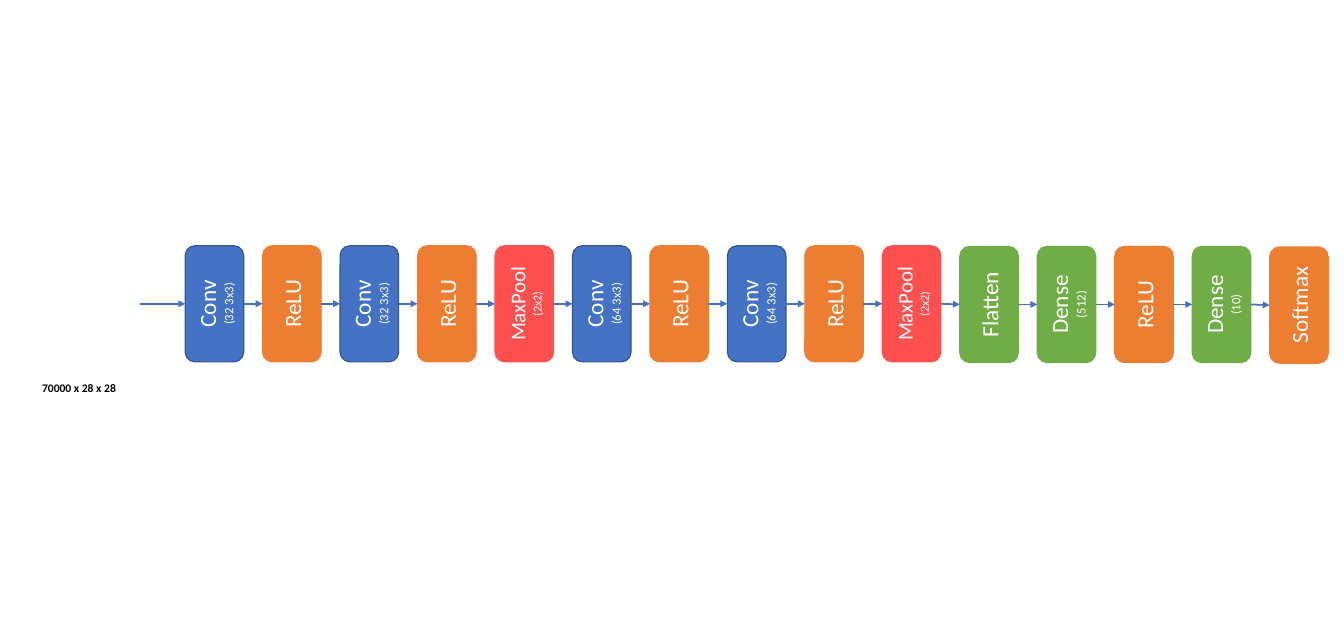
from dataclasses import dataclass

from lxml import etree
from pptx import Presentation
from pptx.dml.color import RGBColor
from pptx.enum.shapes import MSO_CONNECTOR, MSO_SHAPE
from pptx.enum.text import MSO_ANCHOR, MSO_AUTO_SIZE, PP_ALIGN
from pptx.oxml.ns import qn
from pptx.shapes.autoshape import Shape
from pptx.shapes.connector import Connector
from pptx.slide import Slide
from pptx.text.text import _Paragraph as Paragraph
from pptx.util import Cm, Pt

ROUNDED = MSO_SHAPE.ROUNDED_RECTANGLE
STRAIGHT = MSO_CONNECTOR.STRAIGHT
MIDDLE = MSO_ANCHOR.MIDDLE
CENTER = PP_ALIGN.CENTER
GROW = MSO_AUTO_SIZE.SHAPE_TO_FIT_TEXT

# A box turned by 270 degrees has its top on the left and its bottom on the right
LEFT_SITE, RIGHT_SITE = 0, 2


@dataclass(frozen=True)
class Theme:
    font: str = "Calibri"
    blue: str = "4472C4"
    dark_blue: str = "325491"
    orange: str = "ED7D31"
    red: str = "FF5050"
    green: str = "70AD47"
    white: str = "FFFFFF"
    black: str = "000000"
    name_size: float = 20
    pool_size: float = 18
    detail_size: float = 11
    pool_detail_size: float = 10.5
    caption_size: float = 10
    outline: float = 1
    arrow: float = 1.5


THEME = Theme()


@dataclass(frozen=True)
class Kind:
    fill: str
    line: str
    name_size: float = THEME.name_size
    detail_size: float = THEME.detail_size


@dataclass(frozen=True)
class Layer:
    kind: Kind
    name: str
    detail: str = ""
    drop: float = 0  # distance below the row's axis, cm


CONV = Kind(THEME.blue, THEME.dark_blue)
ACTIVATION = Kind(THEME.orange, THEME.orange)
POOL = Kind(THEME.red, THEME.red, THEME.pool_size, THEME.pool_detail_size)
HEAD = Kind(THEME.green, THEME.green)

RELU = Layer(ACTIVATION, "ReLU")
MAX_POOL = Layer(POOL, "MaxPool", "(2x2)")
CONV_32 = Layer(CONV, "Conv", "(32 3x3)")
CONV_64 = Layer(CONV, "Conv", "(64 3x3)")

LAYERS = [
    CONV_32, RELU, CONV_32, RELU, MAX_POOL,
    CONV_64, RELU, CONV_64, RELU, MAX_POOL,
    Layer(HEAD, "Flatten", drop=0.02),
    Layer(HEAD, "Dense", "(512)", drop=0.02),
    Layer(ACTIVATION, "ReLU", drop=0.02),
    Layer(HEAD, "Dense", "(10)", drop=0.02),
    Layer(ACTIVATION, "Softmax", drop=0.04),
]

# Row geometry, cm
LENGTH, THICKNESS = 3.53, 1.78
FIRST_X, LAST_X, AXIS_Y = 6.52, 39.49, 9.23
PITCH = (LAST_X - FIRST_X) / (len(LAYERS) - 1)
INPUT_X = 4.27


def add_span(para: Paragraph, text: str, size: float, color: str,
             bold: bool = False) -> None:
    para.alignment = CENTER
    span = para.add_run()
    span.text = text
    span.font.name = THEME.font
    span.font.size = Pt(size)
    span.font.bold = bold
    span.font.color.rgb = RGBColor.from_string(color)


def add_layer(page: Slide, layer: Layer, index: int) -> Shape:
    center_x = FIRST_X + index * PITCH
    center_y = AXIS_Y + layer.drop
    box = page.shapes.add_shape(
        ROUNDED, Cm(center_x - LENGTH / 2), Cm(center_y - THICKNESS / 2),
        Cm(LENGTH), Cm(THICKNESS))
    box.rotation = 270
    box.shadow.inherit = False
    box.fill.solid()
    box.fill.fore_color.rgb = RGBColor.from_string(layer.kind.fill)
    box.line.color.rgb = RGBColor.from_string(layer.kind.line)
    box.line.width = Pt(THEME.outline)
    frame = box.text_frame
    frame.word_wrap = True
    frame.vertical_anchor = MIDDLE
    add_span(frame.paragraphs[0], layer.name, layer.kind.name_size, THEME.white)
    if layer.detail:
        add_span(frame.add_paragraph(), layer.detail, layer.kind.detail_size,
                 THEME.white)
    return box


def add_arrow(page: Slide, source: Shape | None, target: Shape) -> Connector:
    arrow = page.shapes.add_connector(STRAIGHT, 0, 0, 0, 0)
    arrow.line.color.rgb = RGBColor.from_string(THEME.blue)
    arrow.line.width = Pt(THEME.arrow)
    properties = arrow.line._get_or_add_ln()
    etree.SubElement(properties, qn("a:tailEnd"), type="triangle")
    etree.SubElement(arrow._element.spPr, qn("a:effectLst"))

    # Join the boxes, then place the ends on their turned sides
    half = Cm(THICKNESS / 2)
    end_x = target.left + target.width // 2 - half
    end_y = target.top + target.height // 2
    begin_x, begin_y = Cm(INPUT_X), end_y
    if source is not None:
        arrow.begin_connect(source, RIGHT_SITE)
        begin_x = source.left + source.width // 2 + half
        begin_y = source.top + source.height // 2
    arrow.end_connect(target, LEFT_SITE)
    arrow.begin_x, arrow.begin_y = begin_x, begin_y
    arrow.end_x, arrow.end_y = end_x, end_y
    return arrow


def add_caption(page: Slide, text: str) -> None:
    box = page.shapes.add_textbox(Cm(0.56), Cm(11.44), Cm(3.68), Cm(0.79))
    box.text_frame.word_wrap = True
    box.text_frame.auto_size = GROW
    add_span(box.text_frame.paragraphs[0], text, THEME.caption_size,
             THEME.black, bold=True)


def main() -> None:
    deck = Presentation()
    deck.slide_width, deck.slide_height = Cm(40.86), Cm(19.05)
    page = deck.slides.add_slide(deck.slide_layouts[6])

    # Layers of the network
    boxes = [add_layer(page, layer, index) for index, layer in enumerate(LAYERS)]

    # Data flow, starting from the free input arrow
    for source, target in zip([None, *boxes], boxes):
        add_arrow(page, source, target)

    # Input size
    add_caption(page, "70000 x 28 x 28")

    deck.save("out.pptx")


if __name__ == "__main__":
    main()
